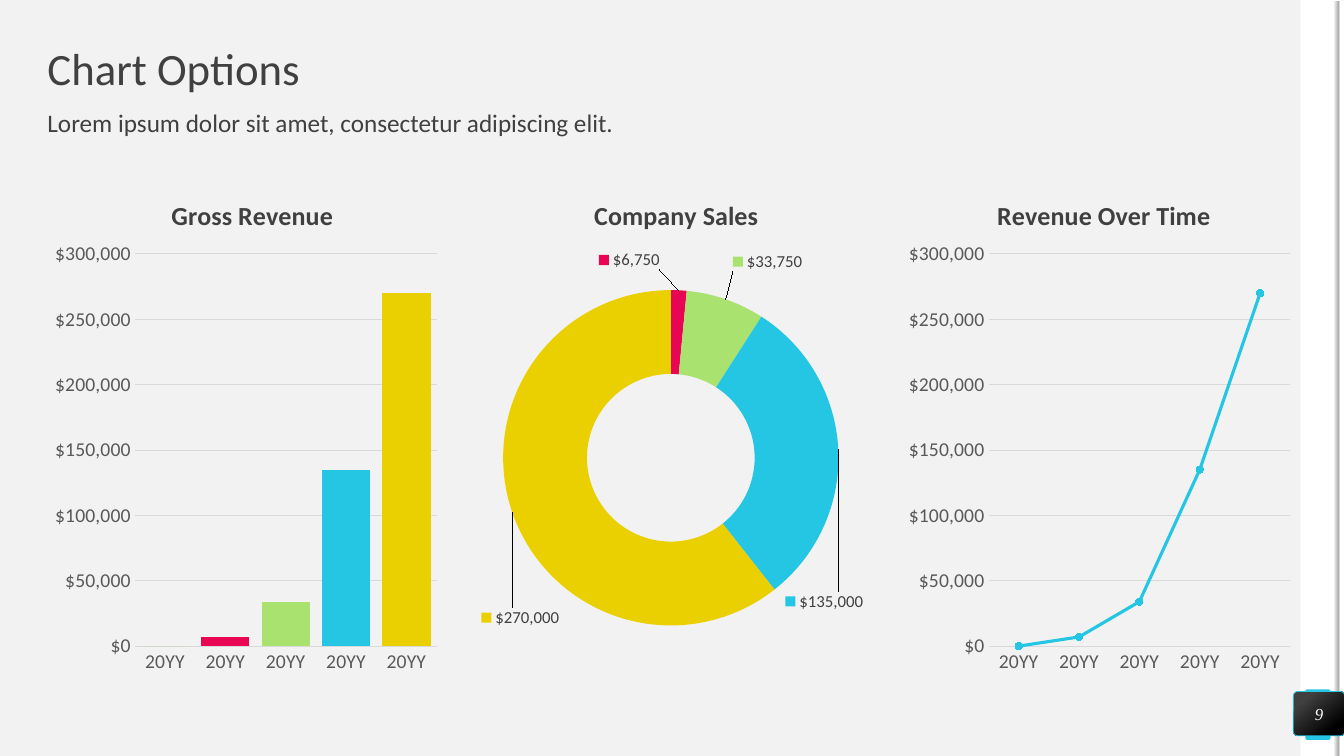
from lxml import etree
from pptx import Presentation
from pptx.chart.data import CategoryChartData
from pptx.dml.color import RGBColor
from pptx.enum.chart import XL_CHART_TYPE, XL_MARKER_STYLE, XL_TICK_MARK
from pptx.enum.shapes import MSO_SHAPE
from pptx.enum.text import MSO_ANCHOR, PP_ALIGN
from pptx.oxml.ns import qn
from pptx.util import Pt

COLORS = {
    "background": "F2F2F2", "white": "FFFFFF", "black": "000000",
    "text": "404040", "axis": "595959", "grid": "D9D9D9", "shade": "A6A6A6",
    "red": "E80554", "green": "A9E26F", "blue": "25C6E3", "yellow": "EAD000",
}
POINT_COLORS = ["green", "red", "green", "blue", "yellow"]
DOLLARS = "[$$-409]#,##0"
YEARS = ["20YY"] * 5
REVENUE = [0, 7000, 34000, 135000, 270000]
SALES = [0, 6750, 33750, 135000, 270000]
LABEL_OFFSETS = {1: (-0.12, -0.14), 2: (0.14, -0.15), 3: (0.07, 0.29), 4: (-0.08, 0.23)}
AXIS_PLOT = {"x": 0.22, "y": 0.17, "w": 0.76, "h": 0.76}
RING_PLOT = {"x": 0.07, "y": 0.24, "w": 0.85, "h": 0.65}


def rgb(name):
    """Return the named colour."""
    return RGBColor.from_string(COLORS[name])


def style_font(font, size, color, name="Calibri", bold=False, italic=False):
    """Set the main properties of a font."""
    font.name, font.size, font.bold, font.italic = name, Pt(size), bold, italic
    font.color.rgb = rgb(color)


def fill_solid(target, color):
    """Give a shape or chart format a plain fill."""
    target.fill.solid()
    target.fill.fore_color.rgb = rgb(color)


def fill_gradient(shape, angle, *stops):
    """Fill a shape with a two-stop linear gradient."""
    shape.fill.gradient()
    shape.fill.gradient_angle = angle
    for stop, (position, color) in zip(shape.fill.gradient_stops, stops):
        stop.position = position
        stop.color.rgb = rgb(color)


def add_block(slide, kind, box, color, rotation=0):
    """Add a plain shape without outline or shadow."""
    shape = slide.shapes.add_shape(kind, *(Pt(value) for value in box))
    shape.shadow.inherit = False
    shape.line.fill.background()
    shape.rotation = rotation
    fill_solid(shape, color)
    return shape


def write_text(shape, text, anchor, **font):
    """Write one run in a frame without margins and return its paragraph."""
    frame = shape.text_frame
    frame.word_wrap = True
    frame.vertical_anchor = anchor
    frame.margin_left = frame.margin_right = frame.margin_top = frame.margin_bottom = 0
    paragraph = frame.paragraphs[0]
    run = paragraph.add_run()
    run.text = text
    style_font(run.font, **font)
    return paragraph


def add_side_band(slide):
    """Add the band at the right edge with the page badge."""
    add_block(slide, MSO_SHAPE.RECTANGLE, (928.8, 0, 28.1, 540), "white")
    tab = add_block(slide, MSO_SHAPE.ROUNDED_RECTANGLE, (932.4, 492.5, 18, 36), "blue")
    tab.adjustments[0] = 0.07
    add_block(slide, MSO_SHAPE.RECTANGLE, (688.3, 268.6, 540, 3.6), "white", 90)
    edge = add_block(slide, MSO_SHAPE.RECTANGLE, (684.7, 268.6, 540, 3.6), "shade", 90)
    fill_gradient(edge, 90, (0, "background"), (1, "shade"))
    badge = add_block(slide, MSO_SHAPE.ROUNDED_RECTANGLE, (923.8, 493.9, 36.7, 31.7), "black")
    badge.adjustments[0] = 0.1
    fill_gradient(badge, 310, (0.2, "text"), (0.82, "black"))
    badge.line.color.rgb = rgb("blue")
    badge.line.width = Pt(0.5)
    number = write_text(badge, "9", MSO_ANCHOR.MIDDLE, size=12, color="white",
                        name="Times New Roman", italic=True)
    number.alignment = PP_ALIGN.CENTER


def add_headings(slide):
    """Fill the title and add the subtitle below it."""
    title = slide.shapes.title
    title.left, title.top, title.width, title.height = Pt(33.9), Pt(33.9), Pt(892.8), Pt(33.9)
    subtitle = slide.shapes.add_textbox(Pt(33.9), Pt(79.2), Pt(892.8), Pt(28))
    for shape, text, anchor, size in (
        (title, "Chart Options", MSO_ANCHOR.MIDDLE, 32),
        (subtitle, "Lorem ipsum dolor sit amet, consectetur adipiscing elit.", MSO_ANCHOR.TOP, 18),
    ):
        paragraph = write_text(shape, text, anchor, size=size, color="text")
        paragraph.alignment = PP_ALIGN.LEFT
        paragraph.line_spacing = 0.9


def set_layout(parent, index, modes, values):
    """Place a chart part by fractions of the chart area."""
    for old in parent.findall(qn("c:layout")):
        parent.remove(old)
    layout = etree.Element(qn("c:layout"))
    manual = etree.SubElement(layout, qn("c:manualLayout"))
    for tag, value in {**modes, **values}.items():
        etree.SubElement(manual, qn(f"c:{tag}")).set("val", str(value))
    parent.insert(index, layout)


def add_titled_chart(slide, column, kind, title, title_left, categories, values, plot_box):
    """Add a chart in one of three columns and return it."""
    data = CategoryChartData(number_format=DOLLARS)
    data.categories = categories
    data.add_series("Series 1", values)
    frame = slide.shapes.add_chart(
        kind, Pt(33.9 + 304.9 * column), Pt(118.8), Pt(283.7), Pt(368.6), data)
    chart = frame.chart
    chart.has_legend = False
    style_font(chart.font, 10, "black")
    run = chart.chart_title.text_frame.paragraphs[0].add_run()
    run.text = title
    style_font(run.font, 18.6, "text", bold=True)
    edges = {"xMode": "edge", "yMode": "edge"}
    set_layout(chart.chart_title._element, 1, edges, {"x": title_left, "y": 0.05})
    plot_area = chart._chartSpace.chart.plotArea
    set_layout(plot_area, 0, {"layoutTarget": "inner", **edges}, plot_box)
    return chart


def style_axes(chart):
    """Format the year axis and the dollar axis."""
    for axis in (chart.category_axis, chart.value_axis):
        axis.major_tick_mark = axis.minor_tick_mark = XL_TICK_MARK.NONE
        style_font(axis.tick_labels.font, 14, "axis")
    chart.category_axis.has_major_gridlines = False
    value_axis = chart.value_axis
    value_axis.minimum_scale, value_axis.maximum_scale = 0, 300000
    value_axis.major_unit = 50000
    value_axis.has_major_gridlines = True
    value_axis.format.line.fill.background()
    value_axis.tick_labels.number_format = DOLLARS
    value_axis.tick_labels.number_format_is_linked = False
    for line in (chart.category_axis.format.line, value_axis.major_gridlines.format.line):
        line.color.rgb = rgb("grid")
        line.width = Pt(0.75)


def color_points(series):
    """Fill each point with its own colour."""
    for index, color in enumerate(POINT_COLORS):
        fill_solid(series.points[index].format, color)


def label_ring(series):
    """Show dollar labels with colour keys around the ring."""
    labels = series.data_labels
    labels.show_value = labels.show_legend_key = True
    labels.number_format = DOLLARS
    labels.number_format_is_linked = False
    style_font(labels.font, 12, "text")
    for index in range(len(SALES)):
        style_font(series.points[index].data_label.font, 12, "text")
    for index, label in enumerate(series._element.iter(qn("c:dLbl"))):
        if index in LABEL_OFFSETS:
            label.find(qn("c:showLegendKey")).set("val", "1")
            set_layout(label, 1, {}, dict(zip("xy", LABEL_OFFSETS[index])))
        else:
            for part in list(label)[1:]:
                label.remove(part)
            etree.SubElement(label, qn("c:delete")).set("val", "1")


def add_revenue_columns(slide):
    """Add the column chart."""
    chart = add_titled_chart(slide, 0, XL_CHART_TYPE.COLUMN_CLUSTERED, "Gross Revenue",
                             0.3, YEARS, REVENUE, AXIS_PLOT)
    style_axes(chart)
    chart.plots[0].gap_width = 25
    chart.plots[0].vary_by_categories = False
    fill_solid(chart.plots[0].series[0].format, "green")
    color_points(chart.plots[0].series[0])


def add_sales_ring(slide):
    """Add the doughnut chart."""
    chart = add_titled_chart(slide, 1, XL_CHART_TYPE.DOUGHNUT, "Company Sales",
                             0.29, ["1", "2", "3", "4", "5"], SALES, RING_PLOT)
    plot = chart.plots[0]
    plot.vary_by_categories = True
    plot._element.find(qn("c:holeSize")).set("val", "84")
    color_points(plot.series[0])
    label_ring(plot.series[0])


def add_revenue_line(slide):
    """Add the line chart."""
    chart = add_titled_chart(slide, 2, XL_CHART_TYPE.LINE_MARKERS_STACKED, "Revenue Over Time",
                             0.23, YEARS, REVENUE, AXIS_PLOT)
    style_axes(chart)
    chart.plots[0].vary_by_categories = False
    series = chart.plots[0].series[0]
    series.smooth = False
    series.format.line.color.rgb = rgb("blue")
    series.format.line.width = Pt(2.25)
    series.marker.style = XL_MARKER_STYLE.CIRCLE
    series.marker.size = 5
    fill_solid(series.marker.format, "blue")
    series.marker.format.line.color.rgb = rgb("blue")


def main():
    """Build and save the slide."""
    presentation = Presentation()
    presentation.slide_width, presentation.slide_height = Pt(960), Pt(540)
    slide = presentation.slides.add_slide(presentation.slide_layouts[5])
    fill_solid(slide.background, "background")
    add_side_band(slide)
    add_headings(slide)
    add_revenue_columns(slide)
    add_sales_ring(slide)
    add_revenue_line(slide)
    presentation.save("out.pptx")


if __name__ == "__main__":
    main()
